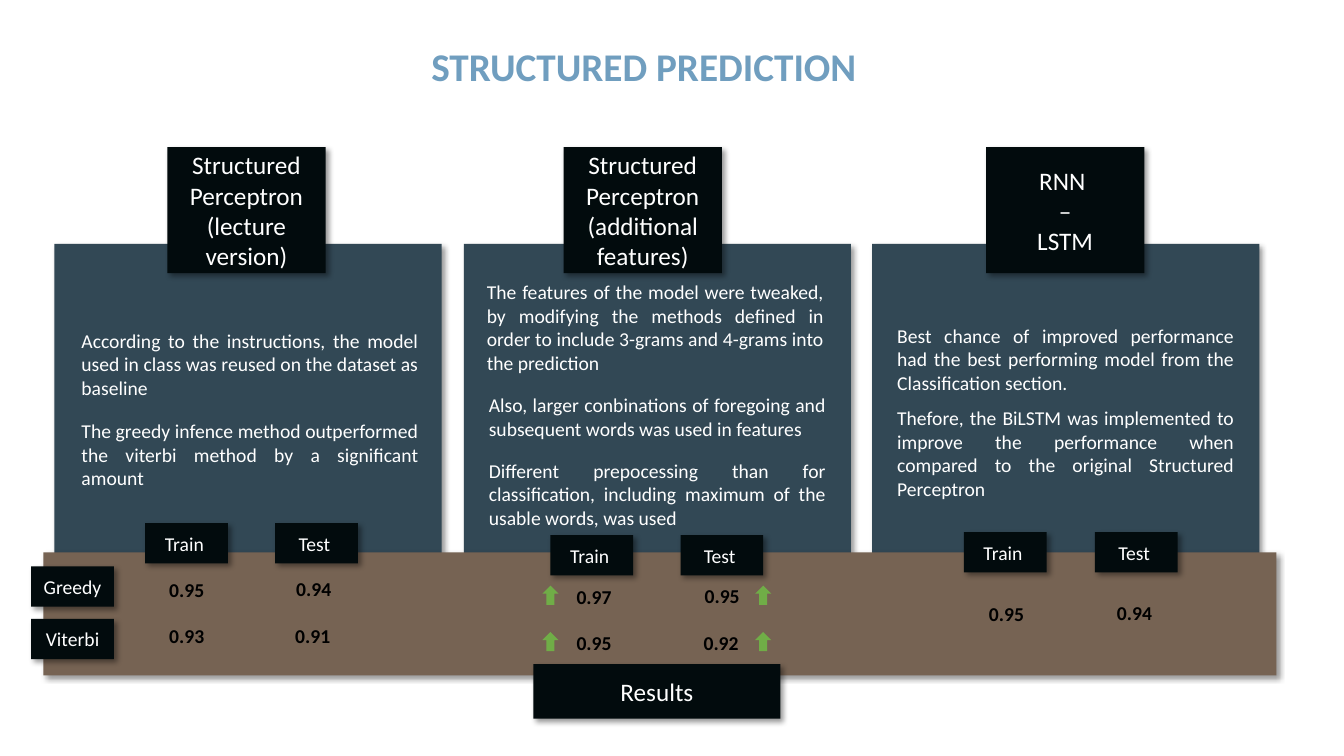
import lxml.etree
import pptx
import pptx.dml.color
import pptx.enum.shapes
import pptx.enum.text
import pptx.oxml.ns
import pptx.util

PX = 9144  # EMU per px, 100 px to the inch
FONT = "Calibri"
COLORS = {
    "title": "709EBF",
    "panel": "324855",
    "label": "020B0D",
    "band": "766353",
    "arrow": "70AD47",
    "light": "FFFFFF",
    "dark": "000000",
}
SHAPE = pptx.enum.shapes.MSO_SHAPE
ALIGN = pptx.enum.text.PP_ALIGN
ANCHOR = pptx.enum.text.MSO_ANCHOR

# Each method: panel left, header left, header lines, paragraphs (left, top, height, text),
# label top, label lefts, scores (left, top, text)
METHODS = [
    (54, 166, ["Structured Perceptron", "(lecture version)"],
     [(71, 321, 81, "According to the instructions, the model used in class was reused "
                    "on the dataset as baseline "),
      (71, 411, 81, "The greedy infence method outperformed the viterbi method by a "
                    "significant amount")],
     519, (144, 273),
     [(158, 568, "0.95"), (284, 567, "0.94"), (158, 614, "0.93"), (283, 614, "0.91")]),
    (460, 559, ["Structured Perceptron", "(additional features)"],
     [(473, 273, 104, "The features of the model were tweaked, by modifying the methods "
                      "defined in order to include 3-grams and 4-grams into the prediction"),
      (475, 385, 57, "Also, larger conbinations of foregoing and subsequent words was "
                     "used in features"),
      (475, 450, 81, "Different prepocessing than for classification, including maximum "
                     "of the usable words, was used")],
     531, (546, 675),
     [(562, 575, "0.97"), (689, 574, "0.95"), (562, 621, "0.95"), (688, 621, "0.92")]),
    (865, 978, ["RNN ", "–", " LSTM "],
     [(880, 316, 81, "Best chance of improved performance had the best performing model "
                     "from the Classification section."),
      (880, 398, 104, "Thefore, the BiLSTM was implemented to improve the performance when "
                      "compared to the original Structured Perceptron")],
     528, (956, 1086),
     [(971, 592, "0.95"), (1098, 591, "0.94")]),
]


def emu(*lengths):
    return [pptx.util.Emu(n * PX) for n in lengths]


def rgb(name):
    return pptx.dml.color.RGBColor.from_string(COLORS[name])


def write(tf, lines, size=14, color="light", bold=False, align=ALIGN.LEFT, anchor=ANCHOR.TOP):
    tf.word_wrap = True
    tf.vertical_anchor = anchor
    for i, line in enumerate(lines):
        p = tf.paragraphs[0] if i == 0 else tf.add_paragraph()
        p.alignment = align
        r = p.add_run()
        r.text = line
        r.font.name = FONT
        r.font.size = pptx.util.Pt(size)
        r.font.bold = bold
        r.font.color.rgb = rgb(color)


def add_text(s, box, text, **style):
    write(s.shapes.add_textbox(*emu(*box)).text_frame, [text], **style)


def add_block(s, box, color, kind=SHAPE.RECTANGLE):
    sp = s.shapes.add_shape(kind, *emu(*box))
    sp.fill.solid()
    sp.fill.fore_color.rgb = rgb(color)
    sp.line.fill.background()
    sp.shadow.inherit = False
    return sp


def add_shadow(sp):
    qn = pptx.oxml.ns.qn
    effects = sp._element.spPr.find(qn("a:effectLst"))
    shadow = lxml.etree.SubElement(
        effects, qn("a:outerShdw"), blurRad="50800", dist="38100", dir="2700000",
        algn="tl", rotWithShape="0")
    color = lxml.etree.SubElement(shadow, qn("a:srgbClr"), val=COLORS["dark"])
    lxml.etree.SubElement(color, qn("a:alpha"), val="40000")


def add_card(s, box, color, lines=(), size=14):
    sp = add_block(s, box, color)
    add_shadow(sp)
    write(sp.text_frame, lines, size=size, align=ALIGN.CENTER, anchor=ANCHOR.MIDDLE)


def main():
    prs = pptx.Presentation()
    prs.slide_width, prs.slide_height = emu(1333, 750)
    s = prs.slides.add_slide(prs.slide_layouts[6])

    # Title
    add_text(s, (418, 37, 498, 57), "STRUCTURED PREDICTION", size=28, color="title", bold=True)

    # Panels with their headers
    for panel_x, header_x, header, *_ in METHODS:
        add_card(s, (panel_x, 242, 384, 332), "panel")
        add_card(s, (header_x, 146, 157, 125), "label", header, size=18)

    # Results band
    add_card(s, (43, 548, 1223, 122), "band")
    add_card(s, (529, 659, 245, 54), "label", ["Results"], size=18)
    for y, name in ((562, "Greedy"), (614, "Viterbi")):
        add_card(s, (31, y, 82, 40), "label", [name])

    # Descriptions, column labels and scores
    for *_, paragraphs, label_y, label_xs, scores in METHODS:
        for x, y, height, text in paragraphs:
            add_text(s, (x, y, 354, height), text, align=ALIGN.JUSTIFY)
        for x, name in zip(label_xs, ("Train ", "Test ")):
            add_card(s, (x, label_y, 82, 40), "label", [name])
        for x, y, score in scores:
            add_text(s, (x, y, 60, 34), score, color="dark", bold=True)

    # Improvement arrows
    for x in (538, 749):
        for y in (581, 627):
            add_block(s, (x, y, 16, 19), "arrow", SHAPE.UP_ARROW)

    prs.save("out.pptx")


if __name__ == "__main__":
    main()
